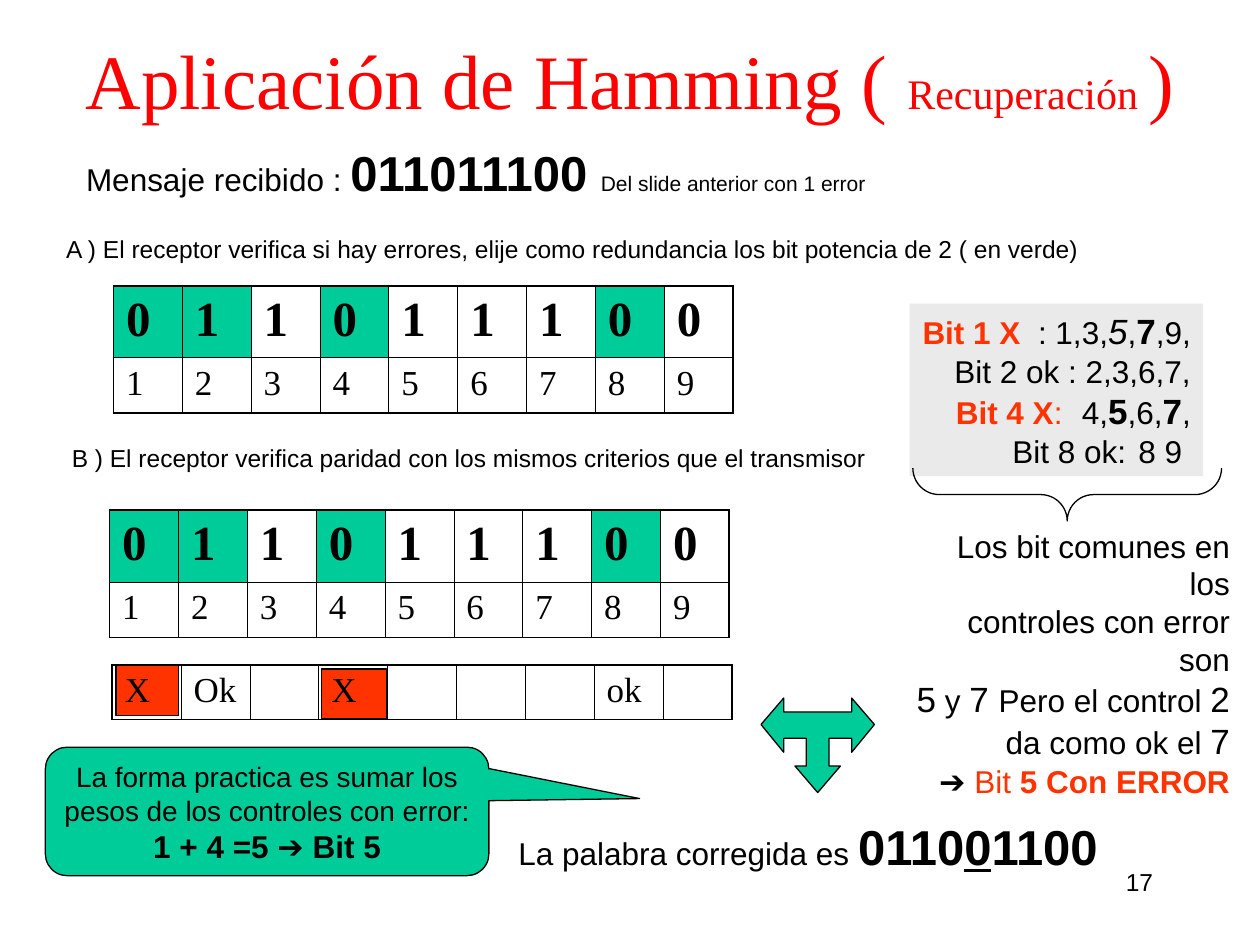
"""Build the Hamming error-recovery slide."""
from lxml import etree
from pptx import Presentation
from pptx.dml.color import RGBColor
from pptx.enum.shapes import MSO_SHAPE
from pptx.enum.text import MSO_ANCHOR, MSO_AUTO_SIZE, PP_ALIGN
from pptx.oxml.ns import qn
from pptx.util import Inches, Pt

LEFT, CENTER, RIGHT = PP_ALIGN.LEFT, PP_ALIGN.CENTER, PP_ALIGN.RIGHT
TOP, MIDDLE = MSO_ANCHOR.TOP, MSO_ANCHOR.MIDDLE
GROW = MSO_AUTO_SIZE.SHAPE_TO_FIT_TEXT
RECT, BRACE = MSO_SHAPE.RECTANGLE, MSO_SHAPE.LEFT_BRACE
CALLOUT = MSO_SHAPE.ROUNDED_RECTANGULAR_CALLOUT
COLORS = {"black": "000000", "red": "FF0000", "orange": "FF3300",
          "green": "00CC99", "gray": "EAEAEA"}
RGB = {name: RGBColor.from_string(value) for name, value in COLORS.items()}
SANS, SERIF = "Arial", "Times New Roman"


def write(tf, paragraphs, align=RIGHT, font=SANS):
    """Fill a text frame with paragraphs of (text, size, style, color) runs."""
    for i, runs in enumerate(paragraphs):
        p = tf.paragraphs[0] if i == 0 else tf.add_paragraph()
        p.alignment = align
        if any("\t" in run[0] for run in runs):
            tabs = etree.SubElement(p._p.get_or_add_pPr(), qn("a:tabLst"))
            for inch in range(8):
                etree.SubElement(tabs, qn("a:tab"), pos=str(Inches(inch)), algn="l")
        for text, size, style, color in runs:
            for j, line in enumerate(text.split("\n")):
                if j:
                    p.add_line_break()
                if line:
                    r = p.add_run()
                    r.text = line
                    r.font.name = font
                    r.font.size = Pt(size)
                    r.font.bold = "b" in style
                    r.font.italic = "i" in style
                    r.font.underline = "u" in style
                    r.font.color.rgb = RGB[color]


def paint(sp, fill):
    """Give a shape its fill and a thin black outline."""
    sp.shadow.inherit = False
    if fill:
        sp.fill.solid()
        sp.fill.fore_color.rgb = RGB[fill]
    else:
        sp.fill.background()
    sp.line.color.rgb = RGB["black"]
    sp.line.width = Pt(0.75)


prs = Presentation()
prs.slide_width, prs.slide_height = Inches(10), Inches(7.5)
s = prs.slides.add_slide(prs.slide_layouts[5])

title = s.shapes.title
title.left, title.top, title.width, title.height = 0, 0, Inches(10), Inches(1.25)
title.text_frame.vertical_anchor = MIDDLE
title.text_frame.auto_size = MSO_AUTO_SIZE.NONE
write(title.text_frame, [[("Aplicación de Hamming ( ", 44, "", "red"),
                          ("Recuperación ", 24, "", "red"),
                          (")", 44, "", "red")]], CENTER, SERIF)

for left, top, width, height in [(2.55, 5.31, 0.52, 0.39), (0.92, 5.28, 0.5, 0.4)]:
    mark = s.shapes.add_shape(RECT, Inches(left), Inches(top), Inches(width), Inches(height))
    paint(mark, "orange")

bits = (list("011011100"), 0.57, 28, "b", (0, 1, 3, 7))
positions = (list("123456789"), 0.44, 20, "", ())
checks = (["X", "Ok", "", "X", "", "", "", "ok", ""], 0.43, 20, "", ())
tables = [(0.9, 2.27, [bits, positions]),
          (0.87, 4.05, [bits, positions]),
          (0.89, 5.28, [checks])]
for left, top, rows in tables:
    height = sum(row[1] for row in rows)
    table = s.shapes.add_table(len(rows), 9, Inches(left), Inches(top),
                               Inches(4.92), Inches(height)).table
    table.first_row = table.horz_banding = False
    for column in table.columns:
        column.width = Inches(4.92 / 9)
    for y, (values, row_height, size, style, parity) in enumerate(rows):
        table.rows[y].height = Inches(row_height)
        for x, value in enumerate(values):
            cell = table.cell(y, x)
            outer = {"L": x == 0, "R": x == 8, "T": y == 0, "B": y == len(rows) - 1}
            tc_pr = cell._tc.get_or_add_tcPr()
            for side, is_outer in outer.items():
                ln = etree.SubElement(tc_pr, qn("a:ln" + side),
                                      w=str(Pt(1.08 if is_outer else 0.45)))
                solid = etree.SubElement(ln, qn("a:solidFill"))
                etree.SubElement(solid, qn("a:srgbClr"), val=COLORS["black"])
            if x in parity:
                cell.fill.solid()
                cell.fill.fore_color.rgb = RGB["green"]
            else:
                cell.fill.background()
            write(cell.text_frame, [[(value, size, style, "black")]], LEFT, SERIF)

texts = [
    (7.17, 6.83, 2.08, 0.5, True, None, [[("17", 14, "", "black")]]),
    (0.52, 1.08, 6.45, 0.57, False, None,
     [[("Mensaje recibido : ", 18, "", "black"), ("011011100 ", 28, "b", "black"),
       ("Del slide anterior con 1 error", 12, "", "black")]]),
    (0.42, 1.81, 8.3, 0.34, False, None,
     [[("A ) El receptor verifica si hay errores, elije como redundancia "
        "los bit potencia de 2 ( en verde) ", 14, "", "black")]]),
    (0.47, 3.47, 6.56, 0.34, False, None,
     [[("B ) El receptor verifica paridad con los mismos criterios "
        "que el transmisor ", 14, "", "black")]]),
    (7.22, 2.41, 2.33, 1.37, False, "gray",
     [[("Bit 1 X", 18, "b", "orange"), ("  : 1,3,", 18, "", "black"),
       ("5", 20, "i", "black"), (",", 18, "", "black"),
       ("7", 20, "b", "black"), (",9,", 18, "", "black")],
      [("Bit 2 ok : 2,3,6,7,", 18, "", "black")],
      [("Bit 4 X", 18, "b", "orange"), (": \t", 18, "", "orange"),
       ("4,", 18, "", "black"), ("5", 20, "b", "black"), (",6,", 18, "", "black"),
       ("7", 20, "b", "black"), (",", 18, "", "black")],
      [("Bit 8 ok: \t8 9 ", 18, "", "black")]]),
    (7.11, 4.13, 2.75, 1.67, False, None,
     [[("Los bit comunes en los\ncontroles con error son\n", 18, "", "black"),
       ("5", 20, "", "black"), (" y ", 18, "", "black"), ("7 ", 20, "", "black"),
       ("Pero el control ", 18, "", "black"), ("2\n", 20, "", "black"),
       ("da como ok el ", 18, "", "black"), ("7", 20, "", "black")],
      [("➔ ", 18, "", "black"), ("Bit ", 18, "", "orange"),
       ("5 Con ERROR", 18, "b", "orange")]]),
    (3.96, 6.43, 4.85, 0.57, True, None,
     [[("La palabra corregida es ", 18, "", "black"), ("0110", 28, "b", "black"),
       ("0", 28, "bu", "black"), ("1100", 28, "b", "black")]]),
]
for left, top, width, height, wrap, fill, paragraphs in texts:
    box = s.shapes.add_textbox(Inches(left), Inches(top), Inches(width), Inches(height))
    box.text_frame.word_wrap = wrap
    box.text_frame.auto_size = GROW
    if fill:
        box.fill.solid()
        box.fill.fore_color.rgb = RGB[fill]
    write(box.text_frame, paragraphs)

brace = s.shapes.add_shape(BRACE, Inches(8.26), Inches(2.7), Inches(0.42), Inches(2.45))
brace.rotation = 270
brace.adjustments[0] = 0.5
paint(brace, None)

right_half = [(6.67, 6.08), (6.58, 6.08), (6.58, 5.86), (6.76, 5.86), (6.76, 5.97),
              (6.94, 5.75), (6.76, 5.54), (6.76, 5.65)]
left_half = [(12.98 - x, y) for x, y in reversed(right_half)]
builder = s.shapes.build_freeform(Inches(6.49), Inches(6.29))
builder.add_line_segments([(Inches(x), Inches(y)) for x, y in right_half + left_half])
paint(builder.convert_to_shape(), "green")

callout = s.shapes.add_shape(CALLOUT, Inches(0.36), Inches(5.93), Inches(3.52), Inches(1.02))
for i, value in enumerate((0.84, -0.1, 0.17)):
    callout.adjustments[i] = value
paint(callout, "green")
callout.text_frame.word_wrap = True
callout.text_frame.vertical_anchor = TOP
write(callout.text_frame,
      [[("La forma practica es sumar los pesos de los controles con error: ", 16, "", "black"),
        ("1 + 4 =5 ➔ Bit 5", 18, "b", "black")]], CENTER)

prs.save("out.pptx")
